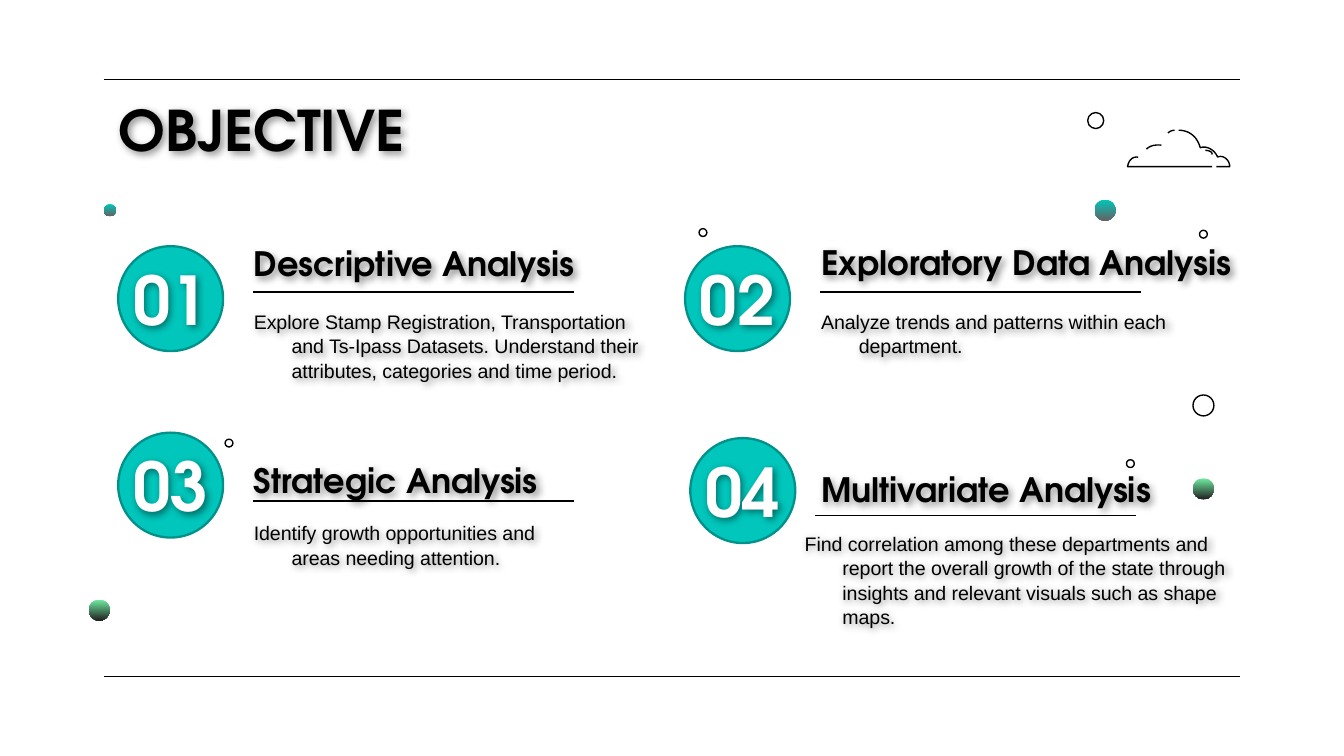
import lxml.etree
import pptx
import pptx.dml.color
import pptx.enum.shapes
import pptx.enum.text
import pptx.oxml.ns
import pptx.util

Pt = pptx.util.Pt
SHAPE = pptx.enum.shapes.MSO_SHAPE
ANCHOR = pptx.enum.text.MSO_ANCHOR
ALIGN = pptx.enum.text.PP_ALIGN
HEADING, BODY = "TeX Gyre Adventor", "Arial"
BLACK, WHITE, TEAL, DARK_TEAL = "000000", "FFFFFF", "00C6BB", "00928A"
TEAL_FADE, GREEN_FADE = (TEAL, "636363"), ("6FEBA0", "212121")
DISC = 56.2

# Number, disc corner, heading box, rule start, body box, heading and body
SECTIONS = [
    ("01", (63.3, 131.9), (128.9, 123.1, 246), (135.6, 156.5), (128.9, 158.4, 231),
     "Descriptive Analysis",
     "Explore Stamp Registration, Transportation and Ts-Ipass Datasets. "
     "Understand their attributes, categories and time period."),
    ("02", (367, 131.9), (432.8, 122.4, 238.3), (439.5, 156.5), (432.8, 158.4, 234),
     "Exploratory Data Analysis",
     "Analyze trends and patterns within each department."),
    ("03", (63.3, 231.8), (128.9, 239.1, 218.2), (135.6, 268.5), (128.9, 271.6, 175.7),
     "Strategic Analysis",
     "Identify growth opportunities and areas needing attention."),
    ("04", (369.8, 234.7), (432.8, 244.2, 223.2), (436.6, 276.2), (424, 277.2, 245.5),
     "Multivariate Analysis",
     "Find correlation among these departments and report the overall growth of "
     "the state through insights and relevant visuals such as shape maps."),
]

# Centre x, centre y, diameter, gradient
DOTS = [(592, 112.6, 11.2, TEAL_FADE), (58.9, 112.6, 6.5, TEAL_FADE),
        (644.7, 261.9, 11.2, GREEN_FADE), (53.2, 326.9, 11.2, GREEN_FADE)]

# Centre x, centre y, diameter
RINGS = [(587, 64.6, 8.6), (644.7, 217.2, 11.2), (644.7, 125.5, 4.2),
         (605.6, 248.4, 4.2), (376.6, 124.6, 4.2), (122.7, 237.4, 4.2)]

# Cloud strokes: a start point, then steps of one point (line) or three (curve)
CLOUD = [
    ((631.4, 69.8), [[(637.2, 69.8), (641.5, 73.4), (643, 79.2)],
                     [(646.6, 77.8), (650.9, 80.6), (652.3, 84.2)],
                     [(655.2, 82.8), (658.8, 85.7), (658.8, 89.3)],
                     [(651.6, 89.3)]]),
    ((629.3, 69.8), [[(629.3, 69.8), (627.1, 69.8), (625.7, 71.3)]]),
    ((649.4, 89.3), [[(604.1, 89.3)],
                     [(604.1, 89.3), (604.8, 83.5), (609.8, 84.2)]]),
    ((645.8, 80.6), [[(645.8, 80.6), (649.4, 80.6), (649.4, 82.8)]]),
    ((622.1, 77.8), [[(622.1, 77.8), (617, 77), (614.2, 79.9)]]),
]


def colour(value):
    return pptx.dml.color.RGBColor.from_string(value)


def set_line(shape, value=BLACK, width=0.75):
    shape.line.color.rgb = colour(value)
    shape.line.width = Pt(width)


def add_effects(shape):
    properties = shape._element.spPr
    return lxml.etree.SubElement(properties, pptx.oxml.ns.qn("a:effectLst"))


def add_rule(page, left, top, width):
    rule = page.shapes.add_connector(
        pptx.enum.shapes.MSO_CONNECTOR.STRAIGHT,
        Pt(left), Pt(top), Pt(left + width), Pt(top))
    set_line(rule)
    add_effects(rule)


def add_circle(page, centre_x, centre_y, size):
    circle = page.shapes.add_shape(
        SHAPE.OVAL, Pt(centre_x - size / 2), Pt(centre_y - size / 2), Pt(size), Pt(size))
    circle.shadow.inherit = False
    return circle


def add_ring(page, centre_x, centre_y, size):
    ring = add_circle(page, centre_x, centre_y, size)
    ring.fill.background()
    set_line(ring)


def add_dot(page, centre_x, centre_y, size, fade):
    dot = add_circle(page, centre_x, centre_y, size)
    dot.line.fill.background()
    dot.fill.gradient()
    dot.fill.gradient_angle = 270
    for stop, value in zip(dot.fill.gradient_stops, fade):
        stop.color.rgb = colour(value)


def curve_points(start, first, second, end, steps=12):
    for step in range(1, steps + 1):
        t = step / steps
        u = 1 - t
        yield tuple(u**3 * a + 3 * u * u * t * b + 3 * u * t * t * c + t**3 * d
                    for a, b, c, d in zip(start, first, second, end))


def add_stroke(page, start, steps):
    points = [start]
    for step in steps:
        points += step if len(step) == 1 else list(curve_points(points[-1], *step))
    corners = [(Pt(x), Pt(y)) for x, y in points]
    builder = page.shapes.build_freeform(*corners[0])
    builder.add_line_segments(corners[1:], close=False)
    stroke = builder.convert_to_shape()
    stroke.shadow.inherit = False
    stroke.fill.background()
    set_line(stroke)


def add_text(page, place, text, size, font=HEADING, value=BLACK):
    box = page.shapes.add_textbox(*(Pt(length) for length in place))
    frame = box.text_frame
    frame.word_wrap = True
    frame.margin_left = frame.margin_right = Pt(7.2)
    frame.margin_top = frame.margin_bottom = Pt(7.2)
    frame.text = text
    para = frame.paragraphs[0]
    span = para.runs[0]
    span.font.name = font
    span.font.size = Pt(size)
    span.font.bold = font == HEADING
    span.font.color.rgb = colour(value)

    # Soft shadow cast by the letters
    shadow = lxml.etree.SubElement(
        add_effects(box), pptx.oxml.ns.qn("a:outerShdw"),
        blurRad=str(Pt(4)), dist=str(Pt(1.5)), dir="2700000", algn="tl", rotWithShape="0")
    tint = lxml.etree.SubElement(shadow, pptx.oxml.ns.qn("a:srgbClr"), val=BLACK)
    lxml.etree.SubElement(tint, pptx.oxml.ns.qn("a:alpha"), val="43000")
    return frame


def add_section(page, number, disc_at, heading_at, rule_at, body_at, heading, body):
    # Numbered disc
    left, top = disc_at
    disc = add_circle(page, left + DISC / 2, top + DISC / 2, DISC)
    disc.fill.solid()
    disc.fill.fore_color.rgb = colour(TEAL)
    set_line(disc, DARK_TEAL, 1.25)
    frame = add_text(page, (left, top + 14.3, DISC, 27.4), number, 36, value=WHITE)
    frame.word_wrap = False
    frame.vertical_anchor = ANCHOR.MIDDLE
    frame.paragraphs[0].alignment = ALIGN.CENTER

    # Heading, rule and hanging body text
    add_text(page, (*heading_at, 34), heading, 18)
    add_rule(page, *rule_at, 172)
    para = add_text(page, (*body_at, 44.6), body, 10.5, BODY).paragraphs[0]
    para.line_spacing = 1.04
    indents = para._p.get_or_add_pPr()
    indents.set("marL", str(Pt(20.2)))
    indents.set("indent", str(-Pt(20.2)))


def main():
    deck = pptx.Presentation()
    deck.slide_width, deck.slide_height = Pt(720), Pt(405)
    page = deck.slides.add_slide(deck.slide_layouts[6])

    # Frame and title
    for top in (42.5, 362.6):
        add_rule(page, 55.7, top, 608.6)
    add_text(page, (56.2, 43.9, 607.7, 47.5), "OBJECTIVE", 30)

    for section in SECTIONS:
        add_section(page, *section)

    # Decorations
    for dot in DOTS:
        add_dot(page, *dot)
    for ring in RINGS:
        add_ring(page, *ring)
    for stroke in CLOUD:
        add_stroke(page, *stroke)

    deck.save("out.pptx")


if __name__ == "__main__":
    main()
